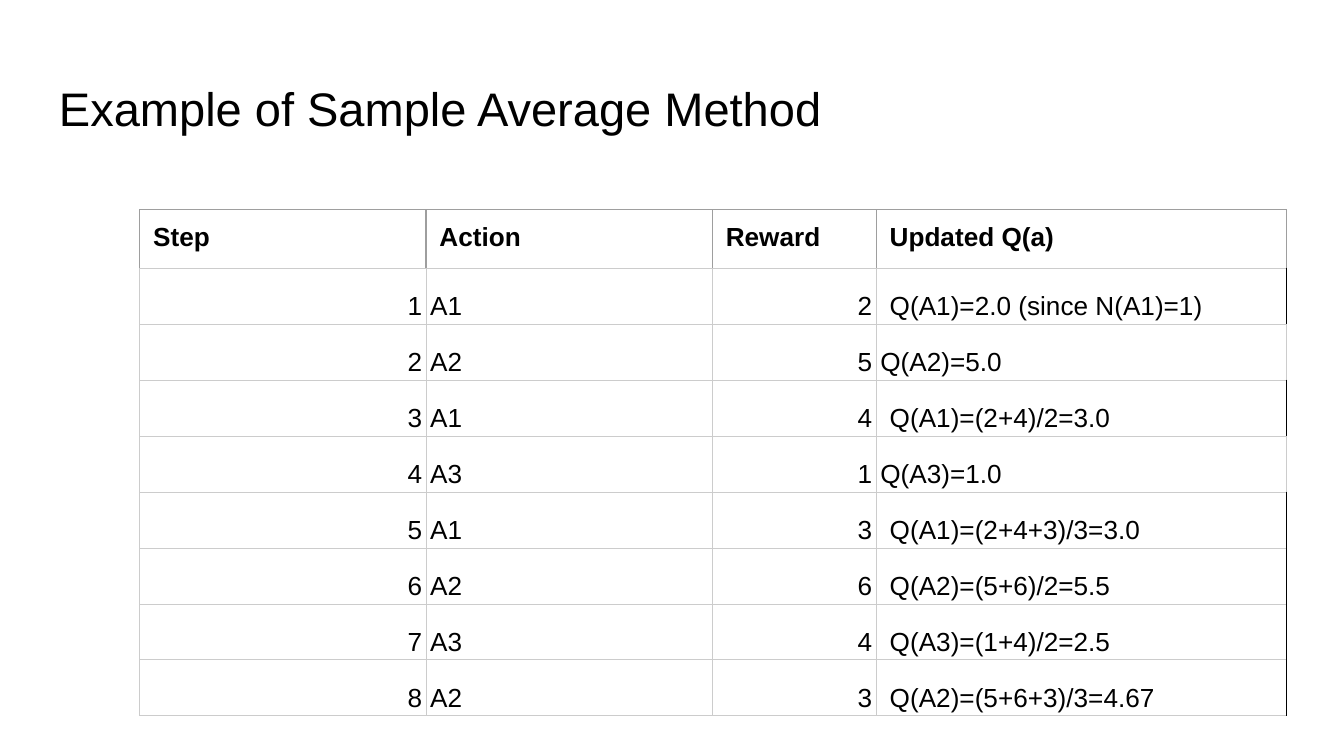
from lxml import etree
from pptx import Presentation
from pptx.dml.color import RGBColor
from pptx.enum.text import MSO_ANCHOR, PP_ALIGN
from pptx.oxml.ns import qn
from pptx.util import Inches, Pt

LEFT, RIGHT = PP_ALIGN.LEFT, PP_ALIGN.RIGHT
TOP, MIDDLE, BOTTOM = MSO_ANCHOR.TOP, MSO_ANCHOR.MIDDLE, MSO_ANCHOR.BOTTOM

# Content
TITLE = "Example of Sample Average Method"
HEADERS = ["Step", "Action", "Reward", "Updated Q(a)"]
STEPS = [  # action, reward, updated estimate
    ("A1", 2, "Q(A1)=2.0 (since N(A1)=1)"),
    ("A2", 5, "Q(A2)=5.0"),
    ("A1", 4, "Q(A1)=(2+4)/2=3.0"),
    ("A3", 1, "Q(A3)=1.0"),
    ("A1", 3, "Q(A1)=(2+4+3)/3=3.0"),
    ("A2", 6, "Q(A2)=(5+6)/2=5.5"),
    ("A3", 4, "Q(A3)=(1+4)/2=2.5"),
    ("A2", 3, "Q(A2)=(5+6+3)/3=4.67"),
]
PLAIN_ESTIMATES = {"Q(A2)=5.0", "Q(A3)=1.0"}  # narrow margin, grey right edge

# Look
FONT = "Arial"
COLORS = {"text": "000000", "grid": "CCCCCC", "header": "9E9E9E", "edge": "000000"}
COLUMN_WIDTHS = [2.13, 2.13, 1.22, 3.05]
ROW_HEIGHT = Inches(3.75) // 9
FRAME_SIZE = Inches(3.28)
ALIGNMENTS = [RIGHT, LEFT, RIGHT, LEFT]
WIDE, NARROW, THIN = 0.1, 0.03, 0.02
GRID = ("grid", 0.43)
HEADER_LINE = ("header", 0.75)
EDGE = ("edge", 0.43)


def style_paragraph(paragraph, size, bold=False):
    paragraph.font.name = FONT
    paragraph.font.size = Pt(size)
    paragraph.font.bold = bold
    paragraph.font.color.rgb = RGBColor.from_string(COLORS["text"])


def set_borders(cell, left, right, top, bottom):
    properties = cell._tc.get_or_add_tcPr()
    for side, (color, width) in zip("LRTB", (left, right, top, bottom)):
        line = etree.SubElement(properties, qn(f"a:ln{side}"), w=str(Pt(width)))
        fill = etree.SubElement(line, qn("a:solidFill"))
        etree.SubElement(fill, qn("a:srgbClr"), val=COLORS[color])


def fill_cell(cell, text, align, anchor, margin_x, margin_y, borders, bold=False):
    cell.text = text
    cell.margin_left = cell.margin_right = Inches(margin_x)
    cell.margin_top = cell.margin_bottom = Inches(margin_y)
    cell.vertical_anchor = anchor
    paragraph = cell.text_frame.paragraphs[0]
    paragraph.alignment = align
    style_paragraph(paragraph, 14, bold)
    set_borders(cell, *borders)
    cell.fill.background()
    return paragraph


# Widescreen slide
presentation = Presentation()
presentation.slide_width = Inches(10)
presentation.slide_height = Inches(10) * 9 // 16
slide = presentation.slides.add_slide(presentation.slide_layouts[6])

# Title
title = slide.shapes.add_textbox(Inches(0.34), Inches(0.49), Inches(9.32), Inches(0.63))
title_frame = title.text_frame
title_frame.word_wrap = True
title_frame.vertical_anchor = MIDDLE
title_frame.margin_left = title_frame.margin_right = Inches(WIDE)
title_frame.margin_top = title_frame.margin_bottom = Inches(WIDE)
title_frame.text = TITLE
style_paragraph(title_frame.paragraphs[0], 25.2)

# Table grid
table_frame = slide.shapes.add_table(
    len(STEPS) + 1, len(HEADERS), Inches(1.04), Inches(1.56), FRAME_SIZE, FRAME_SIZE)
table = table_frame.table
table.first_row = table.horz_banding = False
for column, width in zip(table.columns, COLUMN_WIDTHS):
    column.width = Inches(width)
for row in table.rows:
    row.height = ROW_HEIGHT
table_frame.width = table_frame.height = FRAME_SIZE

# Header row
for col, header in enumerate(HEADERS):
    fill_cell(table.cell(0, col), header, LEFT, TOP, WIDE, WIDE,
              (HEADER_LINE, HEADER_LINE, HEADER_LINE, GRID), bold=True)

# Step rows
for step, (action, reward, estimate) in enumerate(STEPS, start=1):
    values = [str(step), action, str(reward), estimate]
    for col, (value, align) in enumerate(zip(values, ALIGNMENTS)):
        worked = value == estimate and estimate not in PLAIN_ESTIMATES
        paragraph = fill_cell(
            table.cell(step, col), value, align, BOTTOM,
            WIDE if worked else NARROW, THIN,
            (GRID, EDGE if worked else GRID, GRID, GRID))
        paragraph.line_spacing = 1.15

presentation.save("out.pptx")
